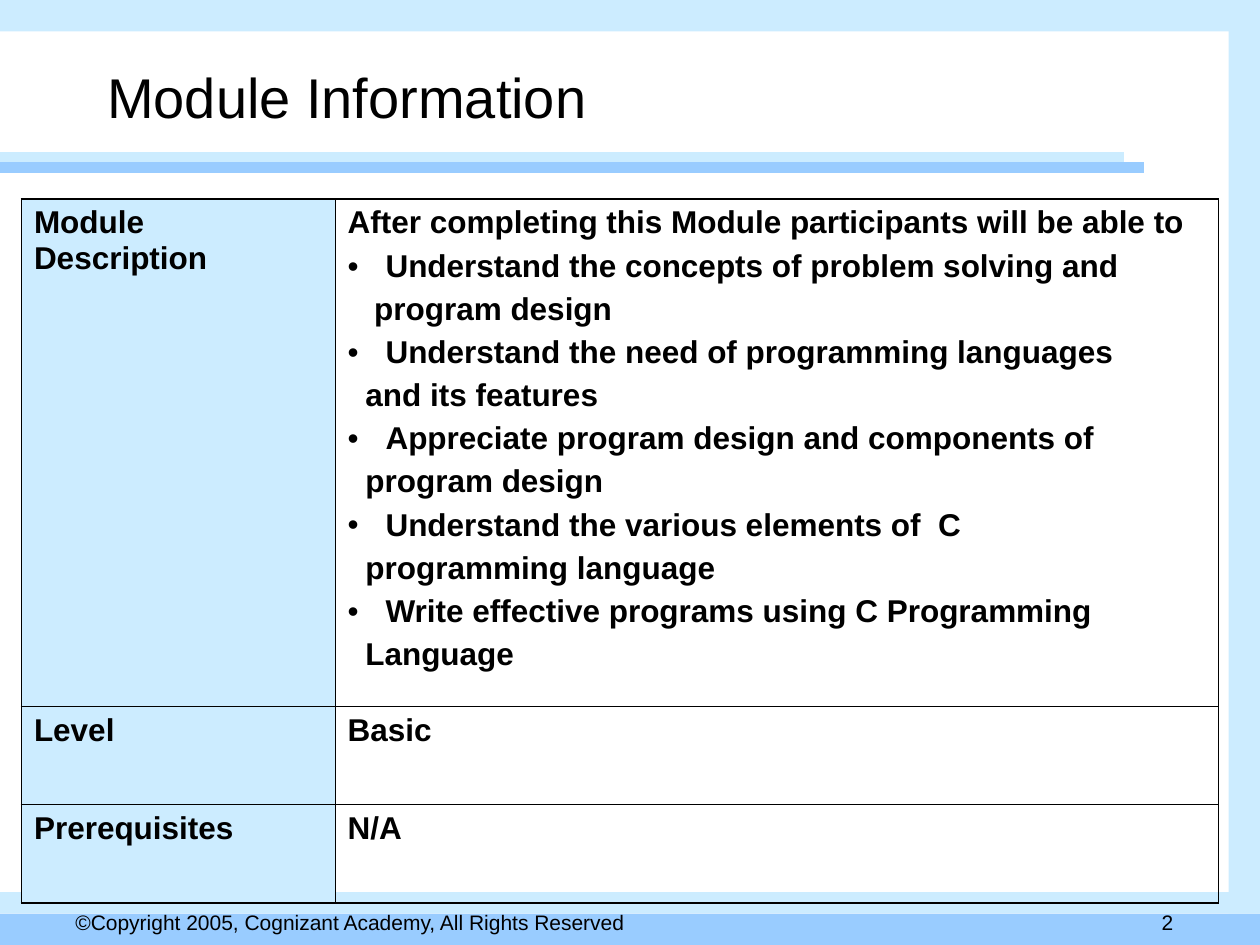
from lxml.etree import SubElement
from pptx import Presentation
from pptx.dml.color import RGBColor
from pptx.enum.shapes import MSO_CONNECTOR, MSO_SHAPE
from pptx.enum.text import MSO_ANCHOR, PP_ALIGN
from pptx.oxml.ns import qn
from pptx.util import Inches, Pt

COLORS = {"text": "000000", "pale": "CCECFF", "sky": "99CCFF"}
FONT = "Arial"
WIDTH, HEIGHT = 10, 7.5
EDGE = 0.25
THICK, THIN = 1.08, 0.45
BULLET_INDENT, WRAP_INDENT = 0.3, 0.14

GOALS = [
    ("Understand the concepts of problem solving and", "program design"),
    ("Understand the need of programming languages", "and its features"),
    ("Appreciate program design and components of", "program design"),
    ("Understand the various elements of  C", "programming language"),
    ("Write effective programs using C Programming", "Language"),
]
FACTS = [
    ("Module Description", "After completing this Module participants will be able to"),
    ("Level", "Basic"),
    ("Prerequisites", "N/A"),
]


def color(name):
    return RGBColor.from_string(COLORS[name])


def inches(box):
    return [Inches(length) for length in box]


def write(paragraph, words, size, bold=False):
    run = paragraph.add_run()
    run.text = words
    run.font.name = FONT
    run.font.size = Pt(size)
    run.font.bold = bold
    run.font.color.rgb = color("text")


def add_band(slide, box, fill):
    band = slide.shapes.add_shape(MSO_SHAPE.RECTANGLE, *inches(box))
    band.shadow.inherit = False
    band.fill.solid()
    band.fill.fore_color.rgb = color(fill)
    band.line.fill.background()


def add_rule(slide, y, right, stroke):
    rule = slide.shapes.add_connector(
        MSO_CONNECTOR.STRAIGHT, *inches((0, y, right, y)))
    rule.line.color.rgb = color(stroke)
    rule.line.width = Pt(6)
    SubElement(rule._element.spPr, qn("a:effectLst"))


def add_frame(slide):
    """Colour bands along the slide edges and the double rule under the title."""
    add_band(slide, (0, 0, WIDTH, EDGE), "pale")
    add_band(slide, (0, HEIGHT - EDGE, WIDTH, EDGE), "sky")
    add_band(slide, (0, 7.08, WIDTH, 0.17), "pale")
    add_band(slide, (WIDTH - EDGE, 0, EDGE, HEIGHT - EDGE), "pale")
    add_rule(slide, 1.25, 8.92, "pale")
    add_rule(slide, 1.33, 9.08, "sky")


def add_footer_text(slide, box, words, align):
    frame = slide.shapes.add_textbox(*inches(box)).text_frame
    frame.word_wrap = True
    frame.paragraphs[0].alignment = align
    write(frame.paragraphs[0], words, 12)


def set_title(slide, box, words):
    title = slide.shapes.title
    title.left, title.top, title.width, title.height = inches(box)
    title.text_frame.vertical_anchor = MSO_ANCHOR.BOTTOM
    heading = title.text_frame.paragraphs[0]
    heading.alignment = PP_ALIGN.LEFT
    heading.space_after = Pt(2)
    write(heading, words, 32)


def set_borders(cell, **widths):
    for side in "LRTB":
        line = SubElement(cell._tc.get_or_add_tcPr(), qn(f"a:ln{side}"),
                          w=str(Pt(widths[side])))
        fill = SubElement(line, qn("a:solidFill"))
        SubElement(fill, qn("a:srgbClr"), val=COLORS["text"])


def add_goal_line(cell, words, margin, bulleted):
    paragraph = cell.text_frame.add_paragraph()
    paragraph.space_before = Pt(4.5)
    properties = paragraph._p.get_or_add_pPr()
    properties.set("marL", str(Inches(margin)))
    properties.set("indent", str(-Inches(margin) if bulleted else 0))
    if bulleted:
        SubElement(properties, qn("a:buFont"), typeface=FONT)
        SubElement(properties, qn("a:buChar"), char="•")
    write(paragraph, words, 18, bold=True)


def add_facts_table(slide, box):
    left, top, width, height = box
    last_row, last_column = len(FACTS) - 1, 1
    table = slide.shapes.add_table(len(FACTS), 2, *inches(box)).table
    label_width, short_row = 2.49, 0.78
    for column, share in zip(table.columns, (label_width, width - label_width)):
        column.width = Inches(share)
    for row, share in zip(table.rows, (height - 2 * short_row, short_row, short_row)):
        row.height = Inches(share)
    for r, fact in enumerate(FACTS):
        for c, words in enumerate(fact):
            cell = table.cell(r, c)
            cell.margin_left = cell.margin_right = Inches(0.1)
            cell.margin_top = cell.margin_bottom = Inches(0.05)
            set_borders(cell,
                        L=THICK if c == 0 else THIN,
                        R=THICK if c == last_column else THIN,
                        T=THICK if r == 0 else THIN,
                        B=THICK if r == last_row else THIN)
            if c == 0:
                cell.fill.solid()
                cell.fill.fore_color.rgb = color("pale")
            else:
                cell.fill.background()
            write(cell.text_frame.paragraphs[0], words, 18, bold=True)
    for i, (start, rest) in enumerate(GOALS):
        add_goal_line(table.cell(0, 1), start, BULLET_INDENT, True)
        add_goal_line(table.cell(0, 1), rest, WRAP_INDENT if i else 0.21, False)


def main():
    deck = Presentation()
    deck.slide_width, deck.slide_height = inches((WIDTH, HEIGHT))
    slide = deck.slides.add_slide(deck.slide_layouts.get_by_name("Title Only"))
    add_frame(slide)
    add_footer_text(slide, (7.33, 7.17, 2.08, EDGE), "2", PP_ALIGN.RIGHT)
    add_footer_text(slide, (0.5, 7.17, 6.56, EDGE),
                    "©Copyright 2005, Cognizant Academy, All Rights Reserved",
                    PP_ALIGN.LEFT)
    set_title(slide, (0.75, 0.33, 8.42, 0.75), "Module Information")
    add_facts_table(slide, (0.17, 1.58, 9.5, 5.56))
    deck.save("out.pptx")


if __name__ == "__main__":
    main()
